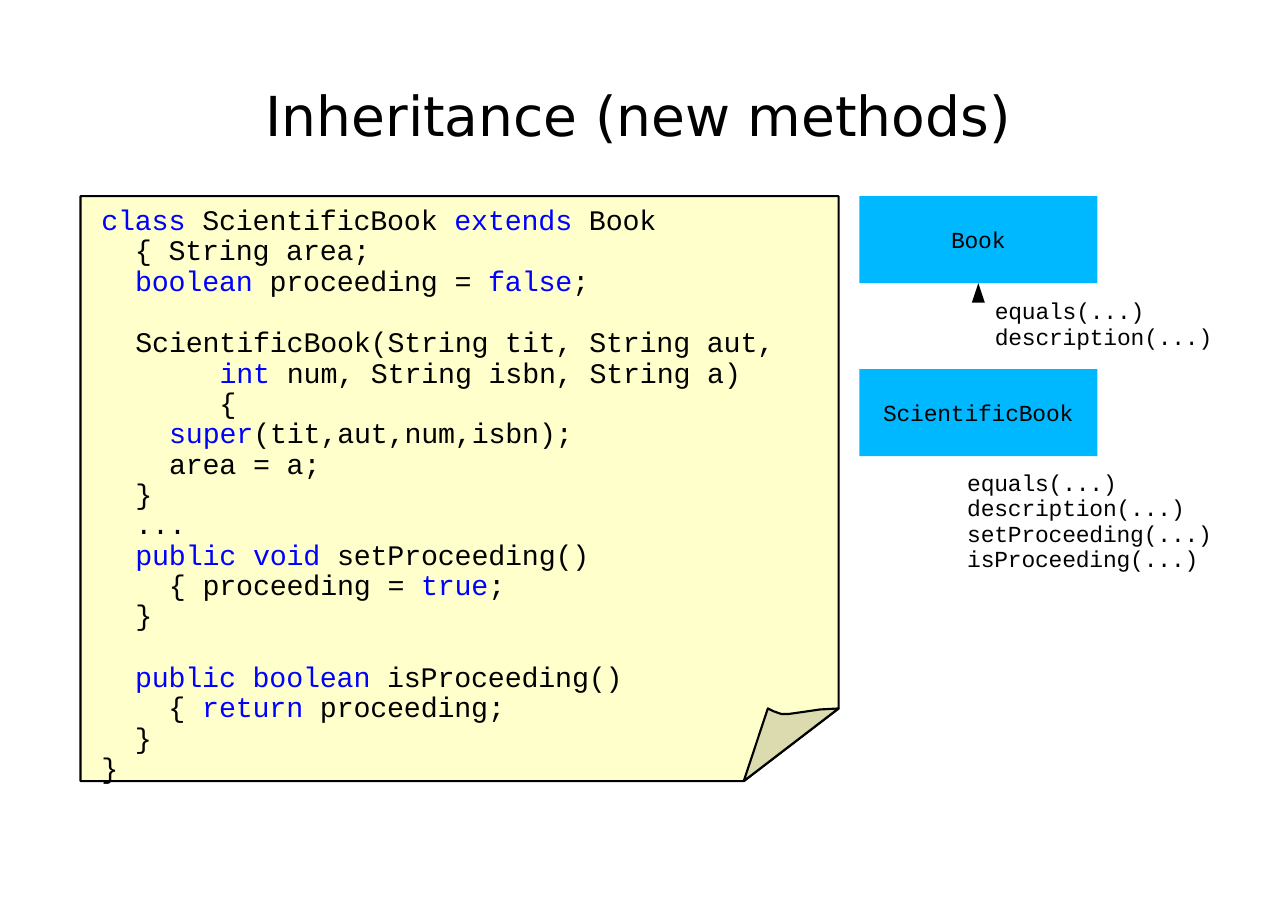
from pptx import Presentation
from pptx.util import Pt
from pptx.dml.color import RGBColor
from pptx.enum.shapes import MSO_SHAPE
from pptx.enum.text import MSO_ANCHOR, PP_ALIGN

RECT = MSO_SHAPE.RECTANGLE
ARROW = MSO_SHAPE.ISOSCELES_TRIANGLE
TOP, MIDDLE = MSO_ANCHOR.TOP, MSO_ANCHOR.MIDDLE
LEFT, CENTER = PP_ALIGN.LEFT, PP_ALIGN.CENTER
MONO, SANS = "Courier New", "DejaVu Sans"
BLACK, BLUE, SKY = "000000", "0000FF", "00B8FF"


def tint(code):
    return RGBColor.from_string(code)


def put(shape, text, font=MONO, size=15, pitch=None, inset=(0.7, 1.6),
        align=LEFT, anchor=TOP, track=-10):
    frame = shape.text_frame
    frame.word_wrap = True
    frame.vertical_anchor = anchor
    frame.margin_left, frame.margin_top = Pt(inset[0]), Pt(inset[1])
    frame.margin_right = frame.margin_bottom = 0
    for row, line in enumerate(text.split("\n")):
        para = frame.paragraphs[0] if row == 0 else frame.add_paragraph()
        para.alignment = align
        if pitch:
            para.line_spacing = Pt(pitch)
        for part, words in enumerate(line.split("|")):
            if words:
                run = para.add_run()
                run.text = words
                run.font.name = font
                run.font.size = Pt(size)
                run.font.color.rgb = tint(BLUE if part % 2 else BLACK)
                run._r.get_or_add_rPr().set("spc", str(track))


deck = Presentation()
deck.slide_width, deck.slide_height = Pt(841.68), Pt(594.72)
slide = deck.slides.add_slide(deck.slide_layouts[6])
shapes = slide.shapes

title = shapes.add_textbox(Pt(98), Pt(51.8), Pt(646.5), Pt(45.4))
put(title, "Inheritance (new methods)", font=SANS, size=36,
    inset=(75.6, 1.6), track=0)

page = [(548, 463), (548, 128.2), (52.6, 128.2), (52.6, 510.5), (486, 510.5)]
fold = [(548, 463), (535.7, 463.7), (523.4, 465.5), (515.5, 466.6),
        (510.5, 466.6), (505.4, 464.8), (501.8, 463), (486, 510.5)]
for points, color in ((page, "FFFFCC"), (fold, "DBDBAF")):
    pen = shapes.build_freeform(Pt(points[0][0]), Pt(points[0][1]))
    pen.add_line_segments([(Pt(x), Pt(y)) for x, y in points[1:]], close=True)
    sheet = pen.convert_to_shape()
    sheet.shadow.inherit = False
    sheet.fill.solid()
    sheet.fill.fore_color.rgb = tint(color)
    sheet.line.color.rgb = tint(BLACK)
    sheet.line.width = Pt(1.4)

fields = """|class| ScientificBook |extends| Book
  { String area;
  |boolean| proceeding = |false|;"""
build = """ScientificBook(String tit, String aut,
     |int| num, String isbn, String a)
     {
  |super|(tit,aut,num,isbn);
  area = a;
}
..."""
setter = """|public void| setProceeding()
  { proceeding = |true|;
}"""
getter = """  |public boolean| isProceeding()
    { |return| proceeding;
  }
}"""
for text, x, y, width, height in (
        (fields, 65.5, 127.4, 400, 64), (build, 87.8, 207.4, 430, 124),
        (setter, 87.8, 346.3, 330, 64), (getter, 65.5, 426.2, 380, 84)):
    box = shapes.add_textbox(Pt(x), Pt(y), Pt(width), Pt(height))
    put(box, text, size=18.5, pitch=19.85, inset=(0.7, 7))

for kind, name, x, y, width, height, color in (
        (RECT, "Book", 561.6, 128.2, 155.5, 56.9, SKY),
        (RECT, "ScientificBook", 561.6, 241.2, 155.5, 56.9, SKY),
        (ARROW, "", 635.1, 185.1, 8.5, 12.7, BLACK)):
    block = shapes.add_shape(kind, Pt(x), Pt(y), Pt(width), Pt(height))
    block.shadow.inherit = False
    block.fill.solid()
    block.fill.fore_color.rgb = tint(color)
    block.line.fill.background()
    if name:
        put(block, name, inset=(0, 0), align=CENTER, anchor=MIDDLE)

base = "equals(...)\ndescription(...)"
extra = base + "\nsetProceeding(...)\nisProceeding(...)"
for text, x, y, width, height, pitch in (
        (base, 649.4, 193, 145.5, 36, 17.1),
        (extra, 631.4, 306, 163.5, 68.4, 16.6)):
    box = shapes.add_textbox(Pt(x), Pt(y), Pt(width), Pt(height))
    put(box, text, pitch=pitch)

deck.save("out.pptx")
